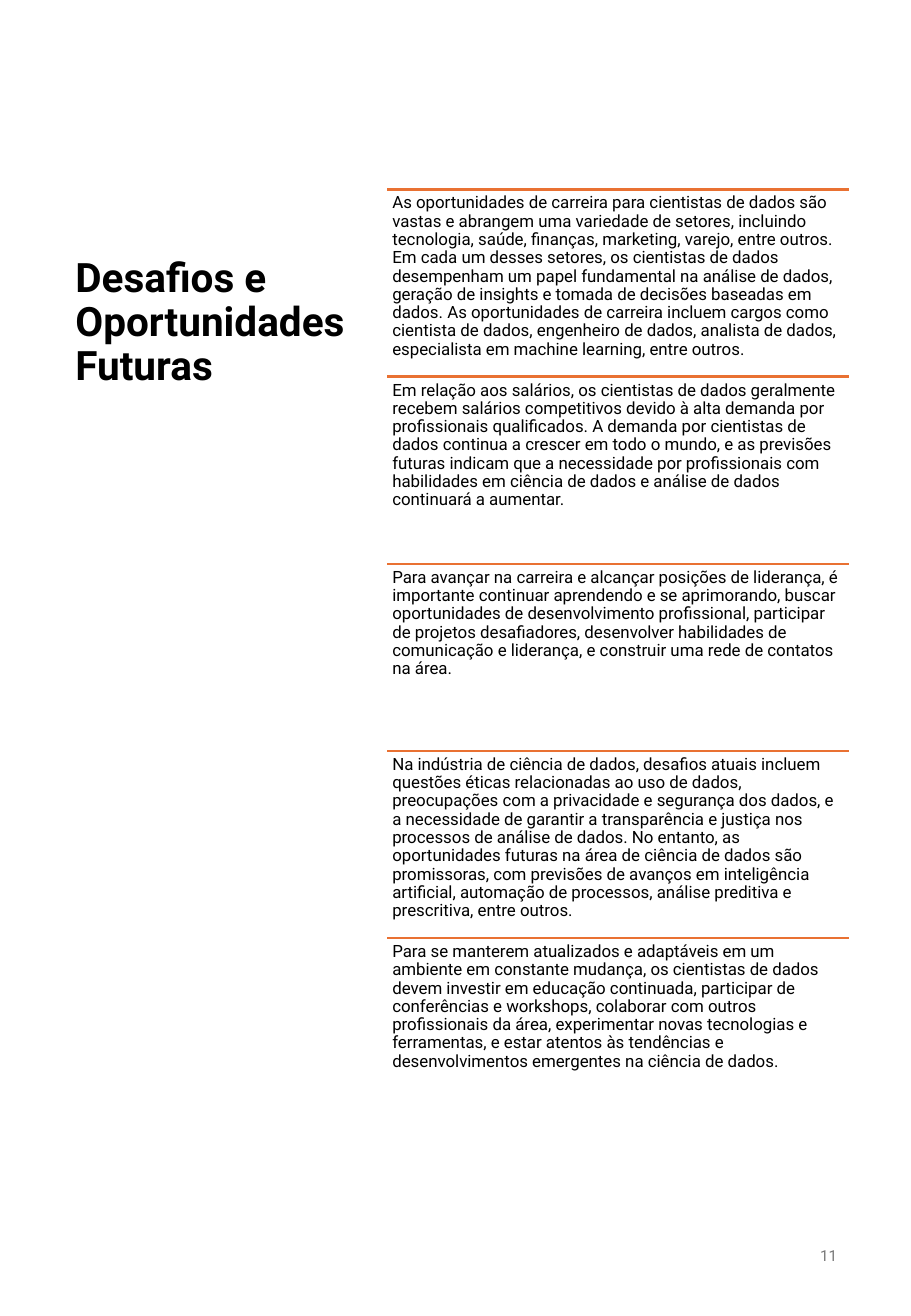
from lxml import etree
from pptx import Presentation
from pptx import util as u
from pptx.dml.color import RGBColor
from pptx.enum import shapes, text
from pptx.oxml.ns import qn

PAGE_WIDTH, PAGE_HEIGHT = 7.5, 10.83
COLUMN_LEFT, COLUMN_WIDTH = 3.19, 3.8
FIRST_ROW, ROW_HEIGHT = 1.56, 1.54
FONT = "Roboto"
BLACK, ORANGE, GRAY = "000000", "E97132", "797979"

TITLE = "Desafios e Oportunidades Futuras"
TOPICS = [
    "As oportunidades de carreira para cientistas de dados são vastas e abrangem uma "
    "variedade de setores, incluindo tecnologia, saúde, finanças, marketing, varejo, entre "
    "outros. Em cada um desses setores, os cientistas de dados desempenham um papel "
    "fundamental na análise de dados, geração de insights e tomada de decisões baseadas em "
    "dados. As oportunidades de carreira incluem cargos como cientista de dados, engenheiro "
    "de dados, analista de dados, especialista em machine learning, entre outros.",
    "Em relação aos salários, os cientistas de dados geralmente recebem salários "
    "competitivos devido à alta demanda por profissionais qualificados. A demanda por "
    "cientistas de dados continua a crescer em todo o mundo, e as previsões futuras indicam "
    "que a necessidade por profissionais com habilidades em ciência de dados e análise de "
    "dados continuará a aumentar.",
    "Para avançar na carreira e alcançar posições de liderança, é importante continuar "
    "aprendendo e se aprimorando, buscar oportunidades de desenvolvimento profissional, "
    "participar de projetos desafiadores, desenvolver habilidades de comunicação e "
    "liderança, e construir uma rede de contatos na área.",
    "Na indústria de ciência de dados, desafios atuais incluem questões éticas relacionadas "
    "ao uso de dados, preocupações com a privacidade e segurança dos dados, e a necessidade "
    "de garantir a transparência e justiça nos processos de análise de dados. No entanto, as "
    "oportunidades futuras na área de ciência de dados são promissoras, com previsões de "
    "avanços em inteligência artificial, automação de processos, análise preditiva e "
    "prescritiva, entre outros.",
    "Para se manterem atualizados e adaptáveis em um ambiente em constante mudança, os "
    "cientistas de dados devem investir em educação continuada, participar de conferências e "
    "workshops, colaborar com outros profissionais da área, experimentar novas tecnologias e "
    "ferramentas, e estar atentos às tendências e desenvolvimentos emergentes na ciência de "
    "dados.",
]


def paint(color_format, color):
    color_format.rgb = RGBColor.from_string(color)


def write(box, words, size, color=BLACK, bold=False, align=text.PP_ALIGN.LEFT,
          anchor=text.MSO_ANCHOR.TOP, spacing=1.0, after=0):
    frame = box.text_frame
    frame.text = words
    frame.word_wrap = True
    frame.auto_size = text.MSO_AUTO_SIZE.NONE
    frame.vertical_anchor = anchor
    para = frame.paragraphs[0]
    para.alignment = align
    para.line_spacing = spacing
    para.space_after = u.Pt(after)
    span = para.runs[0]
    span.font.name = FONT
    span.font.size = u.Pt(size)
    span.font.bold = bold
    paint(span.font.color, color)


def add_title(page):
    box = page.shapes.title
    box.left, box.top, box.width, box.height = map(u.Inches, (0.52, 0.72, 2.42, 2.53))
    write(box, TITLE, 24, bold=True, anchor=text.MSO_ANCHOR.BOTTOM, spacing=0.9, after=6)


def add_rule(page, top):
    rule = page.shapes.add_connector(
        shapes.MSO_CONNECTOR.STRAIGHT, u.Inches(COLUMN_LEFT), u.Inches(top),
        u.Inches(COLUMN_LEFT + COLUMN_WIDTH), u.Inches(top))
    paint(rule.line.color, ORANGE)
    rule.line.width = u.Pt(1.5)
    etree.SubElement(rule._element.spPr, qn("a:effectLst"))


def add_topic(page, row, words):
    top = FIRST_ROW + row * ROW_HEIGHT
    add_rule(page, top)
    box = page.shapes.add_textbox(*map(u.Inches, (COLUMN_LEFT, top, COLUMN_WIDTH, ROW_HEIGHT)))
    frame = box.text_frame
    frame.margin_left = frame.margin_right = u.Inches(0.04)
    frame.margin_top = frame.margin_bottom = u.Inches(0.04)
    write(box, words, 10, spacing=0.9, after=3.5)


def add_page_number(page, number):
    width = 1.69
    left = COLUMN_LEFT + COLUMN_WIDTH - width
    box = page.shapes.add_textbox(*map(u.Inches, (left, 10.04, width, 0.58)))
    write(box, number, 9, GRAY, align=text.PP_ALIGN.RIGHT, anchor=text.MSO_ANCHOR.MIDDLE)


def main():
    deck = Presentation()
    deck.slide_width = u.Inches(PAGE_WIDTH)
    deck.slide_height = u.Inches(PAGE_HEIGHT)
    page = deck.slides.add_slide(deck.slide_layouts.get_by_name("Title Only"))
    add_title(page)
    for row, words in enumerate(TOPICS):
        add_topic(page, row, words)
    add_page_number(page, "11")
    deck.save("out.pptx")


if __name__ == "__main__":
    main()
